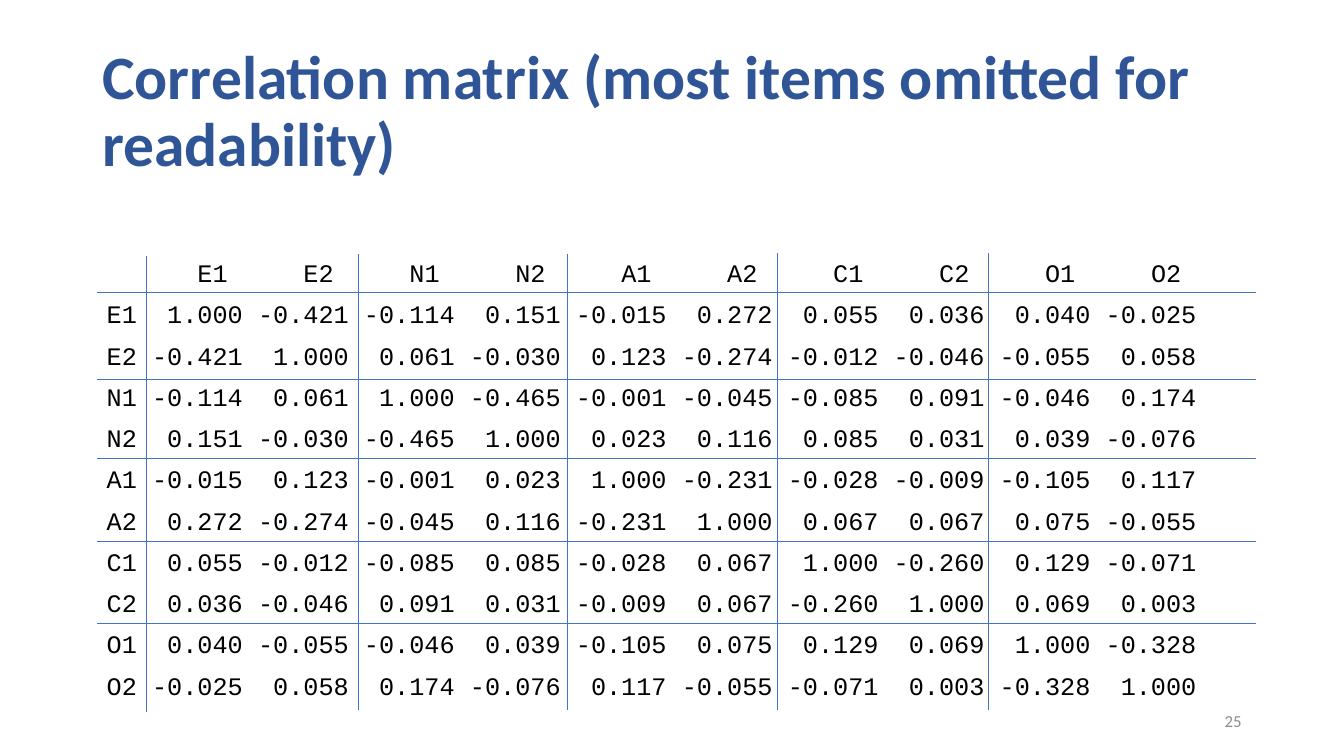
from dataclasses import dataclass

from lxml import etree
from pptx import Presentation
from pptx.dml.color import RGBColor
from pptx.enum.shapes import MSO_CONNECTOR
from pptx.enum.text import MSO_ANCHOR, PP_ALIGN
from pptx.oxml.ns import qn
from pptx.slide import Slide
from pptx.text.text import TextFrame, _Paragraph
from pptx.util import Cm, Pt

LINE = MSO_CONNECTOR.STRAIGHT
TOP, MIDDLE = MSO_ANCHOR.TOP, MSO_ANCHOR.MIDDLE
LEFT, RIGHT = PP_ALIGN.LEFT, PP_ALIGN.RIGHT

NAVY = RGBColor(0x2F, 0x55, 0x97)
BLUE = RGBColor(0x44, 0x72, 0xC4)
BLACK = RGBColor(0, 0, 0)
GREY = RGBColor(0x8C, 0x8C, 0x8C)

TITLE = {"name": "Calibri", "size": Pt(44), "bold": True}
BODY = {"name": "Courier New", "size": Pt(18)}
NUMBER = {"name": "Calibri", "size": Pt(12)}

HEAD = "E1 E2 N1 N2 A1 A2 C1 C2 O1 O2"
ROWS = """\
E1 1.000 -0.421 -0.114 0.151 -0.015 0.272 0.055 0.036 0.040 -0.025
E2 -0.421 1.000 0.061 -0.030 0.123 -0.274 -0.012 -0.046 -0.055 0.058
N1 -0.114 0.061 1.000 -0.465 -0.001 -0.045 -0.085 0.091 -0.046 0.174
N2 0.151 -0.030 -0.465 1.000 0.023 0.116 0.085 0.031 0.039 -0.076
A1 -0.015 0.123 -0.001 0.023 1.000 -0.231 -0.028 -0.009 -0.105 0.117
A2 0.272 -0.274 -0.045 0.116 -0.231 1.000 0.067 0.067 0.075 -0.055
C1 0.055 -0.012 -0.085 0.085 -0.028 0.067 1.000 -0.260 0.129 -0.071
C2 0.036 -0.046 0.091 0.031 -0.009 0.067 -0.260 1.000 0.069 0.003
O1 0.040 -0.055 -0.046 0.039 -0.105 0.075 0.129 0.069 1.000 -0.328
O2 -0.025 0.058 0.174 -0.076 0.117 -0.055 -0.071 0.003 -0.328 1.000"""

# Right edges of the first column's label and value, and the column width
HEAD_TAB, ROW_TAB, STEP = 3.05, 3.43, 2.67


@dataclass
class Box:
    left: float
    top: float
    width: float
    height: float
    anchor: MSO_ANCHOR = MIDDLE


@dataclass
class Rule:
    x: float
    y: float
    width: float = 0
    height: float = 0


LEFT_EDGE, WIDTH, HEIGHT = 2.44, 29.21, 11.5
RULES = [Rule(LEFT_EDGE, y, width=WIDTH)
         for y in (7.37, 9.55, 11.56, 13.64, 15.72)]
RULES += [Rule(x, y, height=HEIGHT)
          for x, y in ((3.68, 6.45), (9.04, 6.4), (14.3, 6.4),
                       (19.58, 6.38), (24.92, 6.38))]


def add_box(slide: Slide, box: Box) -> TextFrame:
    shape = slide.shapes.add_textbox(Cm(box.left), Cm(box.top),
                                     Cm(box.width), Cm(box.height))
    frame = shape.text_frame
    frame.word_wrap = True
    frame.vertical_anchor = box.anchor
    return frame


def write(para: _Paragraph, text: str, style: dict, color: RGBColor,
          align: PP_ALIGN = LEFT, space: float = 0.9) -> None:
    para.alignment = align
    para.line_spacing = space
    run = para.add_run()
    run.text = text
    for name, value in style.items():
        setattr(run.font, name, value)
    run.font.color.rgb = color


def add_tabs(para: _Paragraph, first: float, count: int) -> None:
    """Set evenly spaced right-aligned tab stops."""
    tabs = etree.SubElement(para._p.get_or_add_pPr(), qn("a:tabLst"))
    for col in range(count):
        etree.SubElement(tabs, qn("a:tab"), algn="r",
                         pos=str(Cm(first + col * STEP)))


def add_matrix(slide: Slide, box: Box) -> None:
    frame = add_box(slide, box)
    labels = HEAD.split()
    lines = [["", *labels]] + [row.split() for row in ROWS.splitlines()]
    for i, cells in enumerate(lines):
        para = frame.add_paragraph() if i else frame.paragraphs[0]
        add_tabs(para, ROW_TAB if i else HEAD_TAB, len(labels))
        para.space_before = Pt(10 if i else 0)
        write(para, "\t".join(cells), BODY, BLACK)


def add_rule(slide: Slide, rule: Rule) -> None:
    line = slide.shapes.add_connector(
        LINE, Cm(rule.x), Cm(rule.y),
        Cm(rule.x + rule.width), Cm(rule.y + rule.height))
    line.line.color.rgb = BLUE
    line.line.width = Pt(0.5)
    etree.SubElement(line._element.spPr, qn("a:effectLst"))


def main() -> None:
    deck = Presentation()
    deck.slide_width, deck.slide_height = Cm(33.87), Cm(19.05)
    slide = deck.slides.add_slide(deck.slide_layouts[6])

    title = add_box(slide, Box(2.33, 1.01, WIDTH, 3.68))
    write(title.paragraphs[0],
          "Correlation matrix (most items omitted for readability)",
          TITLE, NAVY)
    add_matrix(slide, Box(LEFT_EDGE, 6.45, WIDTH, 12.09, TOP))
    for rule in RULES:
        add_rule(slide, rule)
    number = add_box(slide, Box(23.92, 17.66, 7.62, 1.01))
    write(number.paragraphs[0], "25", NUMBER, GREY, RIGHT, 1.0)

    deck.save("out.pptx")


if __name__ == "__main__":
    main()
